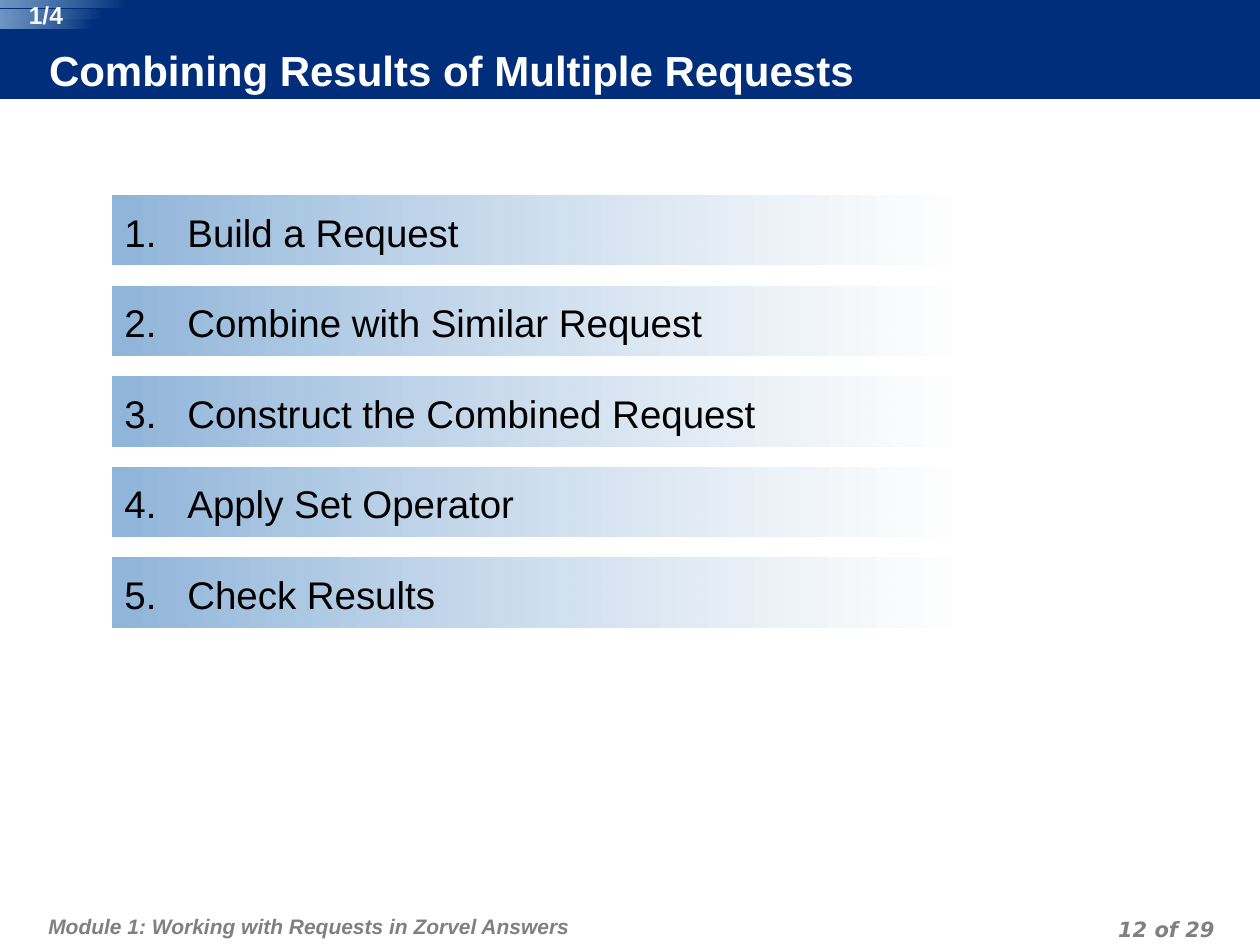
import pptx
import pptx.util
import lxml.etree
from pptx.dml.color import RGBColor
from pptx.enum.shapes import MSO_SHAPE
from pptx.enum.text import MSO_ANCHOR, MSO_AUTO_SIZE, PP_ALIGN
from pptx.oxml.ns import qn

# Content
TITLE = "Combining Results of Multiple Requests"
STEPS = [
    "Build a Request",
    "Combine with Similar Request",
    "Construct the Combined Request",
    "Apply Set Operator",
    "Check Results",
]
PROGRESS = "1/4"
MODULE = "Module 1: Working with Requests in Zorvel Answers"
PAGE = "12 of 29"

# Colours
NAVY = RGBColor(0x00, 0x2E, 0x7A)
SKY = RGBColor(0x90, 0xB5, 0xDA)
PALE = RGBColor(0xFE, 0xFE, 0xFE)
WHITE = RGBColor(0xFF, 0xFF, 0xFF)
OFF_WHITE = RGBColor(0xF8, 0xF8, 0xF8)
BLACK = RGBColor(0x00, 0x00, 0x00)
GREY = RGBColor(0x80, 0x80, 0x80)

# Layout in px: left, top, width, height
SCALE = 914400 / 126
WIDTH, HEIGHT = 1260, 945
HEADER = (0, 0, WIDTH, 99)
TITLE_BOX = (49, 48, 992, 50)
STEP_LEFT, STEP_TOP, STEP_WIDTH, STEP_HEIGHT = 112, 196, 839, 69
STEP_PITCH = 90.5
NUMBER_INDENT = 63
STRIPES = [(0, 0, 127, 8), (0, 10, 103, 8), (0, 20, 92, 9)]
PROGRESS_BOX = (14, 0, 64, 29)
MODULE_BOX = (42, 895, 779, 50)
PAGE_BOX = (927, 910, 294, 32)


def px(length):
    return pptx.util.Emu(round(length * SCALE))


def add_block(kind, box):
    block = slide.shapes.add_shape(kind, *map(px, box))
    block.shadow.inherit = False
    block.line.fill.background()
    return block


def add_fading_bar(box, start, end):
    """Bar with a right-to-left gradient; start and end are (colour, opacity %)."""
    bar = add_block(MSO_SHAPE.ROUNDED_RECTANGLE, box)
    bar.adjustments[0] = 0
    bar.fill.gradient()
    bar.fill.gradient_angle = 180
    for stop, (color, _) in zip(bar.fill.gradient_stops, (start, end)):
        stop.color.rgb = color
    colors = bar._element.spPr.findall(".//" + qn("a:gs") + "/" + qn("a:srgbClr"))
    for color, (_, opacity) in zip(colors, (start, end)):
        if opacity < 100:
            lxml.etree.SubElement(color, qn("a:alpha"), val=str(opacity * 1000))
    return bar


def write(shape, text, size, color, insets, align=PP_ALIGN.LEFT,
          anchor=MSO_ANCHOR.TOP, font="Arial", bold=True, italic=False):
    frame = shape.text_frame
    frame.word_wrap = True
    frame.auto_size = MSO_AUTO_SIZE.NONE
    frame.vertical_anchor = anchor
    frame.margin_left, frame.margin_top, frame.margin_right, frame.margin_bottom = (
        pptx.util.Inches(inset) for inset in insets)
    frame.text = text
    paragraph = frame.paragraphs[0]
    paragraph.alignment = align
    style = paragraph.runs[0].font
    style.name, style.size, style.color.rgb = font, pptx.util.Pt(size), color
    style.bold, style.italic = bold, italic
    return paragraph


def add_footer(box, text, insets, **style):
    footer = slide.shapes.add_textbox(*map(px, box))
    paragraph = write(footer, text, 12, GREY, insets, italic=True, **style)
    paragraph.line_spacing = pptx.util.Pt(18)
    paragraph.space_before = pptx.util.Pt(6)


def number(paragraph, start):
    properties = paragraph._p.get_or_add_pPr()
    properties.set("marL", str(px(NUMBER_INDENT)))
    properties.set("indent", str(px(-NUMBER_INDENT)))
    lxml.etree.SubElement(properties, qn("a:buFont"), typeface="+mj-lt")
    lxml.etree.SubElement(properties, qn("a:buAutoNum"),
                          type="arabicPeriod", startAt=str(start))


deck = pptx.Presentation()
deck.slide_width, deck.slide_height = px(WIDTH), px(HEIGHT)
slide = deck.slides.add_slide(deck.slide_layouts[5])

# Header band, moved behind the title
header = add_block(MSO_SHAPE.RECTANGLE, HEADER)
header.fill.solid()
header.fill.fore_color.rgb = NAVY
title = slide.shapes.title
title._element.addprevious(header._element)

# Title
title.left, title.top, title.width, title.height = map(px, TITLE_BOX)
title.fill.solid()
title.fill.fore_color.rgb = NAVY
write(title, TITLE, 24, WHITE, (0, 0, 0.05, 0.05), anchor=MSO_ANCHOR.MIDDLE)

# Footer
add_footer(MODULE_BOX, MODULE, (0.05, 0.1, 0.05, 0.05))
add_footer(PAGE_BOX, PAGE, (0.05, 0, 0.05, 0),
           align=PP_ALIGN.RIGHT, font="DejaVu Sans")

# Numbered steps
for index, step in enumerate(STEPS):
    box = (STEP_LEFT, STEP_TOP + index * STEP_PITCH, STEP_WIDTH, STEP_HEIGHT)
    bar = add_fading_bar(box, (PALE, 75), (SKY, 100))
    paragraph = write(bar, step, 22, BLACK, (0.1, 0.1, 0.1, 0.05), bold=False)
    paragraph.space_before = pptx.util.Pt(5.5)
    number(paragraph, index + 1)

# Progress marker over its stripes
for stripe in STRIPES:
    add_fading_bar(stripe, (NAVY, 100), (SKY, 76))
progress = slide.shapes.add_textbox(*map(px, PROGRESS_BOX))
write(progress, PROGRESS, 14, OFF_WHITE, (0, 0, 0, 0), align=PP_ALIGN.CENTER)

deck.save("out.pptx")
